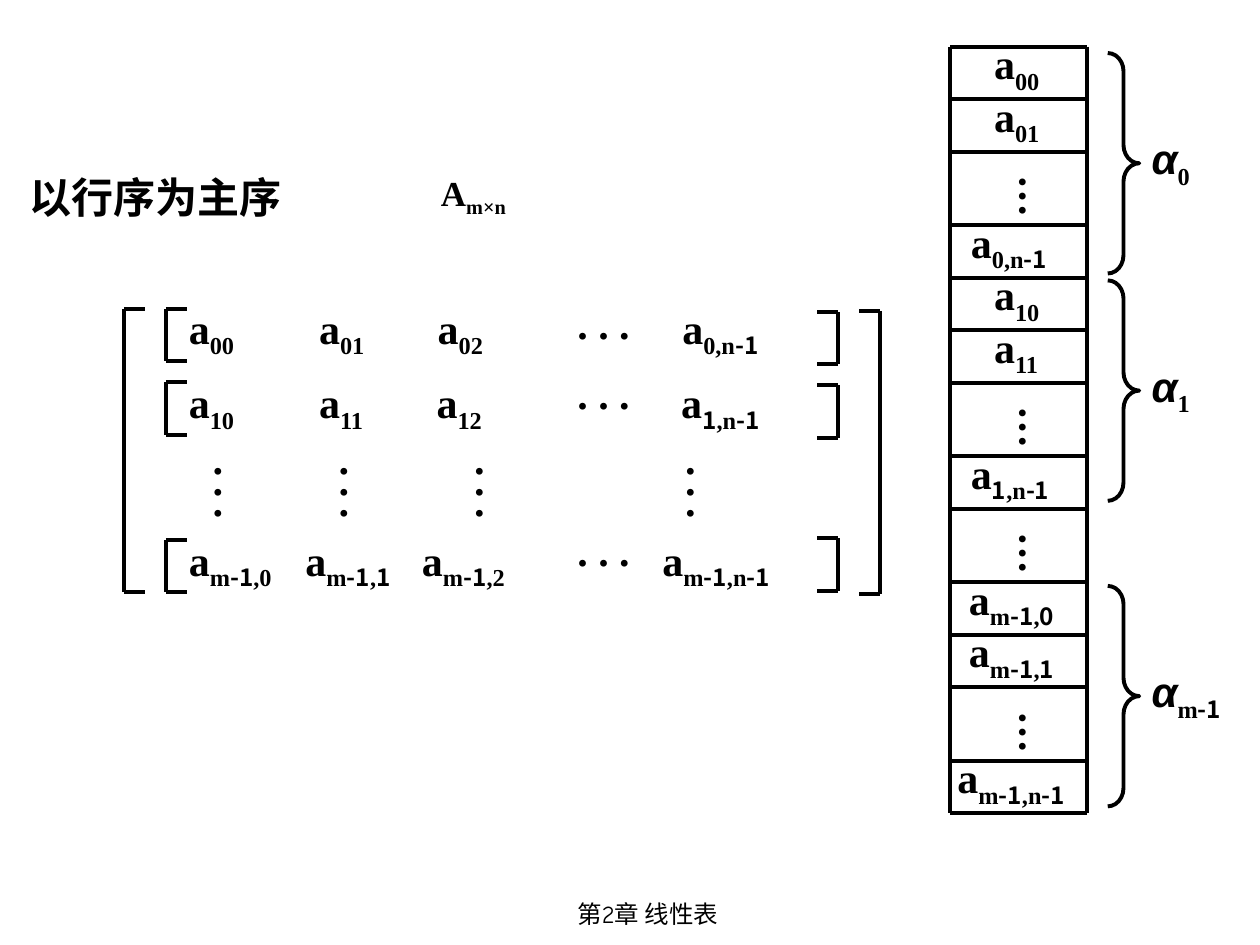
from dataclasses import dataclass
from itertools import accumulate
from typing import NamedTuple

from lxml import etree
from pptx import Presentation
from pptx.dml.color import RGBColor
from pptx.enum.shapes import MSO_CONNECTOR, MSO_SHAPE
from pptx.enum.text import MSO_AUTO_SIZE, PP_ALIGN
from pptx.oxml.ns import qn
from pptx.util import Inches, Pt

LINE = MSO_CONNECTOR.STRAIGHT
BRACE = MSO_SHAPE.RIGHT_BRACE
GROW = MSO_AUTO_SIZE.SHAPE_TO_FIT_TEXT
CENTER = PP_ALIGN.CENTER


@dataclass(frozen=True)
class Theme:
    ink: RGBColor = RGBColor(0, 0, 0)
    serif: str = "Times New Roman"
    sans: str = "Noto Sans CJK SC"
    greek: str = "Arial"
    foot: str = "Comic Neue"
    big: int = 24
    mid: int = 20
    small: int = 14
    stroke: float = 2.25


class Box(NamedTuple):
    x: float
    y: float
    w: float
    h: float


class Slot(NamedTuple):
    """A memory cell: rows tall, and its subscript ("" means dots)."""
    rows: int
    sub: str = ""
    x: float = 93.5
    w: float = 11


class Line(NamedTuple):
    """A matrix row: text top, dots top, subscripts and tab stops."""
    y: float
    dots: float
    subs: tuple
    tabs: tuple


class Hook(NamedTuple):
    """A square bracket: spine column, top row, height, tick direction."""
    x: float
    y: float
    h: float
    tick: int


class Group(NamedTuple):
    y: float
    sub: str
    w: float


THEME = Theme()
DOTS = ". . ."

# The slide is a grid of 120 columns by 90 rows
prs = Presentation()
prs.slide_width, prs.slide_height = Inches(10), Inches(7.5)
slide = prs.slides.add_slide(prs.slide_layouts[6])
STEP = prs.slide_width / 120


def grid(*vals: float) -> list[int]:
    return [round(v * STEP) for v in vals]


def rule(x1: float, y1: float, x2: float, y2: float) -> None:
    line = slide.shapes.add_connector(LINE, *grid(x1, y1, x2, y2))
    line.line.color.rgb = THEME.ink
    line.line.width = Pt(THEME.stroke)
    etree.SubElement(line._element.spPr, qn("a:effectLst"))


def hook(part: Hook) -> None:
    end = part.y + part.h
    rule(part.x, part.y, part.x, end)
    for y in (part.y, end):
        rule(part.x, y, part.x + 2 * part.tick, y)


def frame(box: Box, tall: bool = False, grow: bool = True):
    """Add a text box and return its first paragraph."""
    text = slide.shapes.add_textbox(*grid(*box)).text_frame
    text.word_wrap = True
    if grow:
        text.auto_size = GROW
    if tall:
        text._txBody.bodyPr.set("vert", "eaVert")
    side, end = (0.05, 0.1) if tall else (0.1, 0.05)
    pads = {"margin_left": side, "margin_right": side,
            "margin_top": end, "margin_bottom": end}
    for name, val in pads.items():
        setattr(text, name, Inches(val))
    return text.paragraphs[0]


def put(para, text: str, face: str = THEME.serif, size: int = THEME.big,
        bold: bool = True, slant: bool = False, low: bool = False) -> None:
    run = para.add_run()
    run.text = text
    form = {"name": face, "size": Pt(size), "bold": bold, "italic": slant}
    for name, val in form.items():
        setattr(run.font, name, val)
    run.font.color.rgb = THEME.ink
    props = run._r.get_or_add_rPr()
    etree.SubElement(props, qn("a:ea")).set("typeface", THEME.sans)
    if low:
        props.set("baseline", "-25000")


def term(para, head: str, sub: str, size: int = THEME.big,
         face: str = THEME.serif, slant: bool = False) -> None:
    """Write a symbol and its subscript; bars switch serif and sans."""
    put(para, head, face, size, slant=slant)
    for i, part in enumerate(sub.split("|")):
        if part:
            put(para, part, (THEME.serif, THEME.sans)[i % 2], size, low=True)


def stops(para, tabs: tuple) -> None:
    tray = etree.SubElement(para._p.get_or_add_pPr(), qn("a:tabLst"))
    for tab in tabs:
        stop = etree.SubElement(tray, qn("a:tab"))
        stop.set("pos", str(grid(tab)[0]))
        stop.set("algn", "l")


# Headings
put(frame(Box(1.6, 15.7, 32, 6)), "以行序为主序")
term(frame(Box(40.8, 15.7, 15, 5.8)), "A", "m×n", THEME.mid)

# Memory column
LEFT, RIGHT, TOP = 90.5, 103.5, 4.45
SLOTS = [
    Slot(5, "00"), Slot(5, "01"), Slot(7), Slot(5, "0,n|-1", 91.3, 13),
    Slot(5, "10"), Slot(5, "11"), Slot(7), Slot(5, "|1|,n|-1", 91.3, 13),
    Slot(7),
    Slot(5, "m|-1|,|0", 91.1, 14), Slot(5, "m|-1|,|1", 91.1, 13), Slot(7),
    Slot(5, "m|-1|,n|-1", 90, 17.3),
]
edges = list(accumulate((s.rows for s in SLOTS), initial=TOP))
for x in (LEFT, RIGHT):
    rule(x, TOP, x, edges[-1])
for y in edges:
    rule(LEFT, y, RIGHT, y)
for slot, y in zip(SLOTS, edges):
    if slot.sub:
        term(frame(Box(slot.x, y - 1.45, slot.w, 6.75)), "a", slot.sub)
    else:
        put(frame(Box(94.5, y + 1.1, 7.2, 8), tall=True), "…")

# Row groups
for group in (Group(5.05, "0", 10), Group(26.7, "1", 10),
              Group(55.8, "m|-1", 12)):
    brace = slide.shapes.add_shape(BRACE, *grid(105.5, group.y, 3, 21))
    brace.adjustments[0] = 0.58
    brace.shadow.inherit = False
    brace.fill.background()
    brace.line.color.rgb = THEME.ink
    brace.line.width = Pt(THEME.stroke)
    term(frame(Box(108.5, group.y + 7, group.w, 6.75)), "α", group.sub,
         face=THEME.greek, slant=True)

# Matrix entries
LINES = [
    Line(28.2, 27.7, ("00", "01", "02", "0,n|-1"), (12.4, 23.7, 47)),
    Line(35.3, 34.4, ("10", "11", "12", "|1|,n|-1"), (12.4, 23.6, 46.9)),
    Line(50.3, 49.4, ("m|-1|,0", "m|-1|,|1", "m|-1|,2", "m|-1|,n|-1"),
         (11.1, 22.2, 45.1)),
]
for line in LINES:
    para = frame(Box(16.8, line.y, 76, 6.75))
    stops(para, line.tabs)
    for i, sub in enumerate(line.subs):
        term(para, "\ta" if i else "a", sub)
    put(frame(Box(53.8, line.dots, 16, 6)), DOTS)
for x in (17.9, 29.9, 42.8, 62.9):
    put(frame(Box(x, 43.2, 7.2, 14), tall=True), DOTS)

# Brackets around the matrix and its rows
hook(Hook(11.8, 29.4, 27, 1))
hook(Hook(83.8, 29.6, 27, -1))
for left, right in ((29.4, 29.7), (36.4, 36.7), (51.4, 51.25)):
    hook(Hook(15.8, left, 5, 1))
    hook(Hook(79.8, right, 5, -1))

# Footer
foot = frame(Box(42.7, 85, 38, 6), grow=False)
foot.alignment = CENTER
put(foot, "第2章 线性表", THEME.foot, THEME.small, bold=False)

prs.save("out.pptx")
